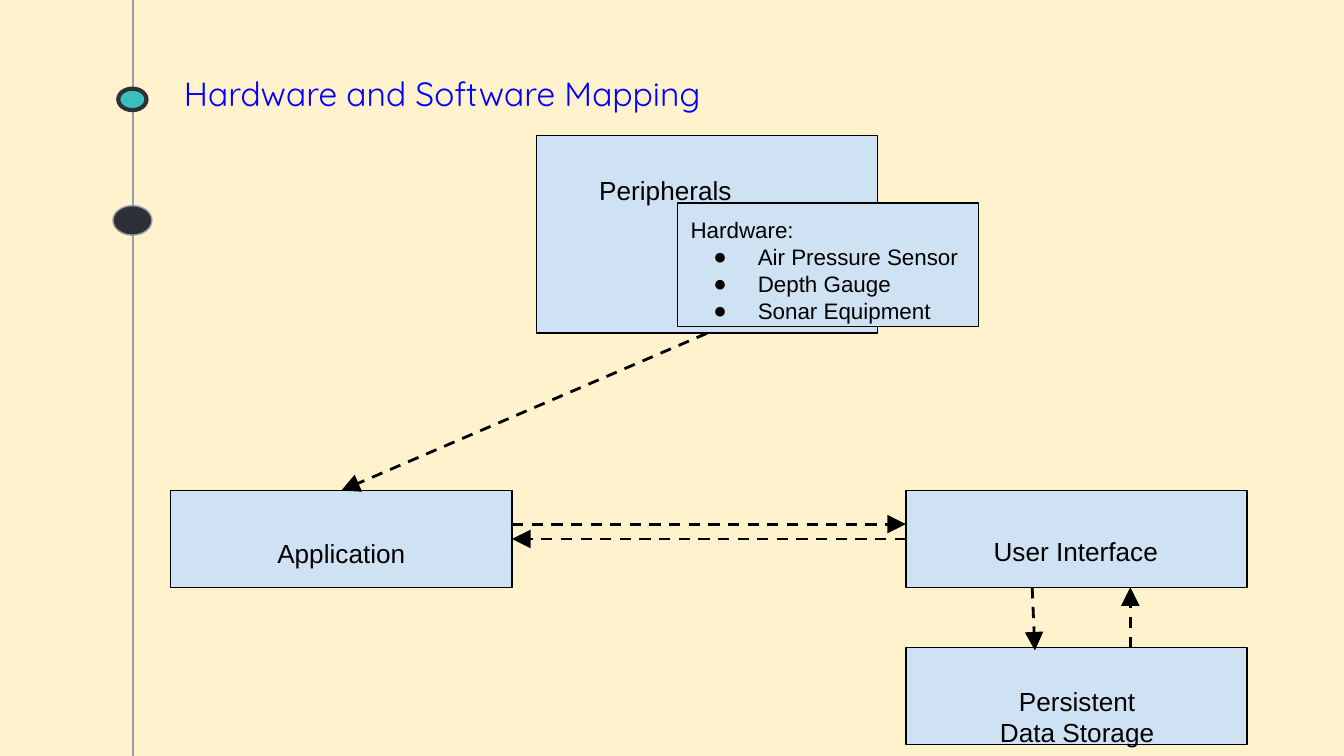
from dataclasses import dataclass

from lxml.etree import SubElement
from pptx import Presentation
from pptx.dml.color import RGBColor as RGB
from pptx.enum.dml import MSO_LINE_DASH_STYLE as Dash
from pptx.enum.shapes import MSO_CONNECTOR as Link, MSO_SHAPE as Shape
from pptx.enum.text import MSO_ANCHOR as Anchor, PP_ALIGN as Align
from pptx.oxml.ns import qn
from pptx.util import Inches, Pt


@dataclass(frozen=True)
class Theme:
    back: RGB = RGB(0xFF, 0xF2, 0xCC)
    box: RGB = RGB(0xCF, 0xE2, 0xF3)
    ink: RGB = RGB(0, 0, 0)
    blue: RGB = RGB(0, 0, 0xFF)
    teal: RGB = RGB(0x39, 0xC0, 0xBA)
    dark: RGB = RGB(0x2E, 0x30, 0x37)
    gray: RGB = RGB(0x99, 0x9F, 0xA9)
    head: Pt = Pt(18)
    label: Pt = Pt(14)
    small: Pt = Pt(12)
    thin: Pt = Pt(0.75)
    bold: Pt = Pt(2.25)
    arrow: Pt = Pt(1.5)


theme = Theme()
width = 10
height = width * 9 / 16
deck = Presentation()
deck.slide_width, deck.slide_height = Inches(width), Inches(height)
slide = deck.slides.add_slide(deck.slide_layouts[6])
slide.background.fill.solid()
slide.background.fill.fore_color.rgb = theme.back
shapes = slide.shapes


def add_text(text, at, size=theme.label, color=theme.ink, font="Arial",
             align=Align.LEFT, anchor=Anchor.TOP):
    """Add a text box; lines that start with a bullet sign become list items."""
    frame = shapes.add_textbox(*map(Inches, at)).text_frame
    frame.word_wrap = True
    frame.vertical_anchor = anchor
    frame.margin_left = frame.margin_right = Inches(0.1)
    frame.margin_top = frame.margin_bottom = Inches(0.1)
    for i, line in enumerate(text.split("\n")):
        para = frame.paragraphs[0] if i == 0 else frame.add_paragraph()
        para.alignment = align
        if line.startswith("●"):
            props = para._p.get_or_add_pPr()
            props.set("marL", str(Inches(0.5)))
            props.set("indent", str(Inches(-0.33)))
            SubElement(props, qn("a:buSzPct"), val="100000")
            SubElement(props, qn("a:buFont"), typeface=font)
            SubElement(props, qn("a:buChar"), char="●")
            line = line[1:]
        run = para.add_run()
        run.text = line
        run.font.size, run.font.name = size, font
        run.font.color.rgb = color


def add_line(start, end, color, weight):
    line = shapes.add_connector(Link.STRAIGHT, *map(Inches, start + end))
    line.line.color.rgb = color
    line.line.width = weight
    SubElement(line._element.spPr, qn("a:effectLst"))
    return line


# Timeline at the left, and the title
add_line((0.99, -0.01), (0.99, 5.63), theme.gray, theme.thin)
dots = [
    ((0.88, 0.66, 0.21, 0.16), theme.teal, theme.dark, theme.bold),
    ((0.84, 1.53, 0.29, 0.22), theme.dark, theme.gray, theme.thin),
]
add_text("Hardware and Software Mapping", (1.27, 0.55, 8.01, 0.39),
         size=theme.head, color=theme.blue, font="Quicksand",
         anchor=Anchor.BOTTOM)

# Boxes with their labels, the hardware list in front of its parent
wide, tall = 2.54, 0.72
left, right = 1.27, 6.74
row, base = 3.65, 4.82
mid = {"align": Align.CENTER}
gear = "Hardware:\n●Air Pressure Sensor\n●Depth Gauge\n●Sonar Equipment"
boxes = [
    ((left, row, wide, tall), "Application", (1.75, 3.9, 1.58, 0.23), mid),
    ((right, base, wide, tall), "Persistent Data Storage",
     (7.28, 5, 1.47, 0.37), mid),
    ((right, row, wide, tall), "User Interface", (7.2, 3.88, 1.61, 0.25), mid),
    ((3.99, 1.01, wide, 1.47), "Peripherals", (4.36, 1.2, 1.79, 0.33), {}),
    ((5.04, 1.51, 2.24, 0.92), gear, (5.04, 1.51, 2.34, 0.92),
     {"size": theme.small}),
]
parts = [(Shape.OVAL, *dot, None) for dot in dots]
parts += [(Shape.RECTANGLE, at, theme.box, theme.ink, theme.thin, label)
          for at, *label in boxes]
for kind, at, fill, edge, weight, label in parts:
    item = shapes.add_shape(kind, *map(Inches, at))
    item.shadow.inherit = False
    item.fill.solid()
    item.fill.fore_color.rgb = fill
    item.line.color.rgb = edge
    item.line.width = weight
    if label:
        text, place, style = label
        add_text(text, place, **style)

# Dashed arrows between the boxes
for start, end in [
    ((5.26, 2.48), (left + wide / 2, row)),
    ((left + wide, 3.9), (right, 3.9)),
    ((7.68, row + tall), (7.7, 4.84)),
    ((8.41, base), (8.41, row + tall)),
    ((right, 4.01), (left + wide, 4.01)),
]:
    arrow = add_line(start, end, theme.ink, theme.arrow)
    arrow.line.dash_style = Dash.DASH
    SubElement(arrow.line._get_or_add_ln(), qn("a:tailEnd"),
               type="triangle", w="lg", len="lg")

deck.save("out.pptx")
